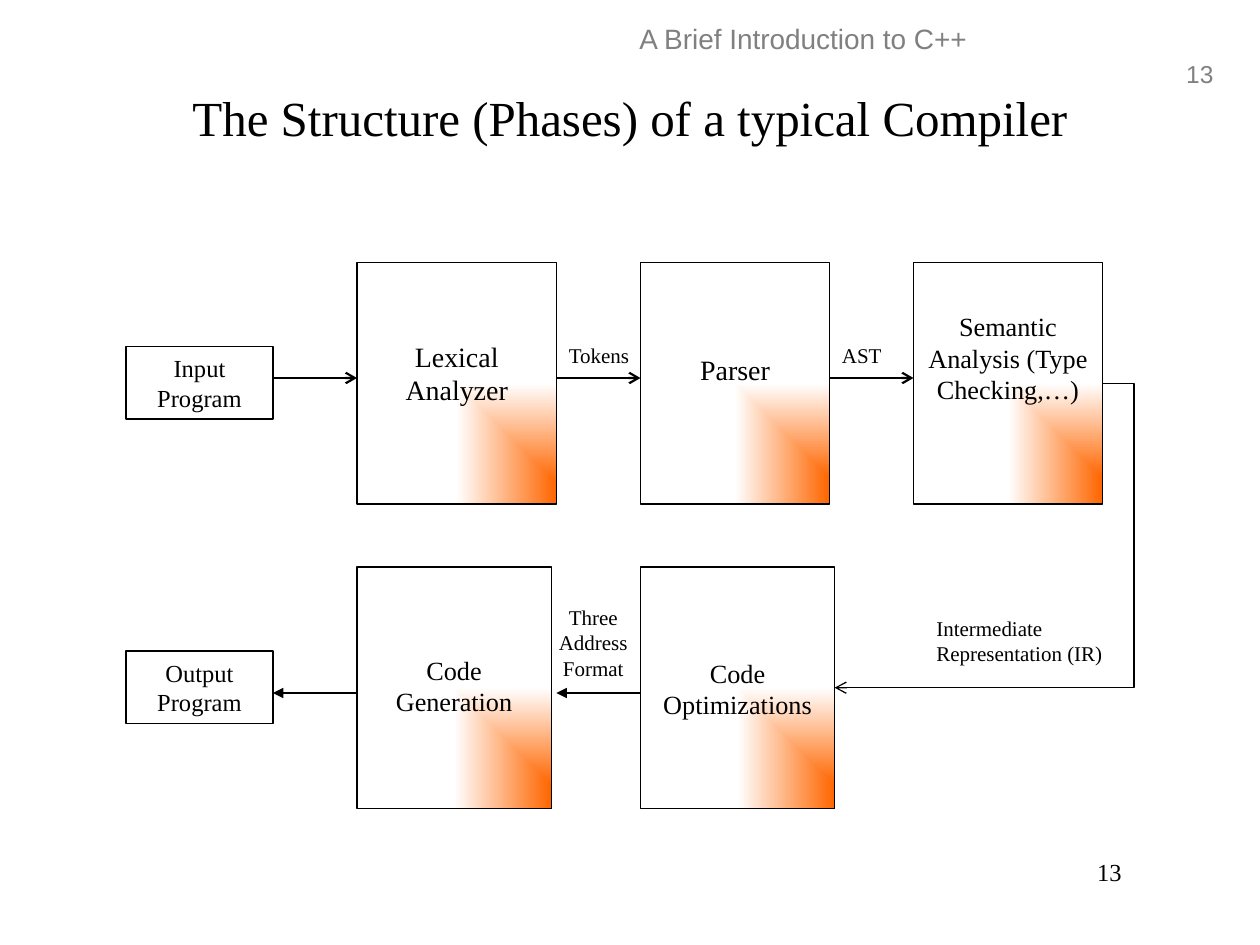
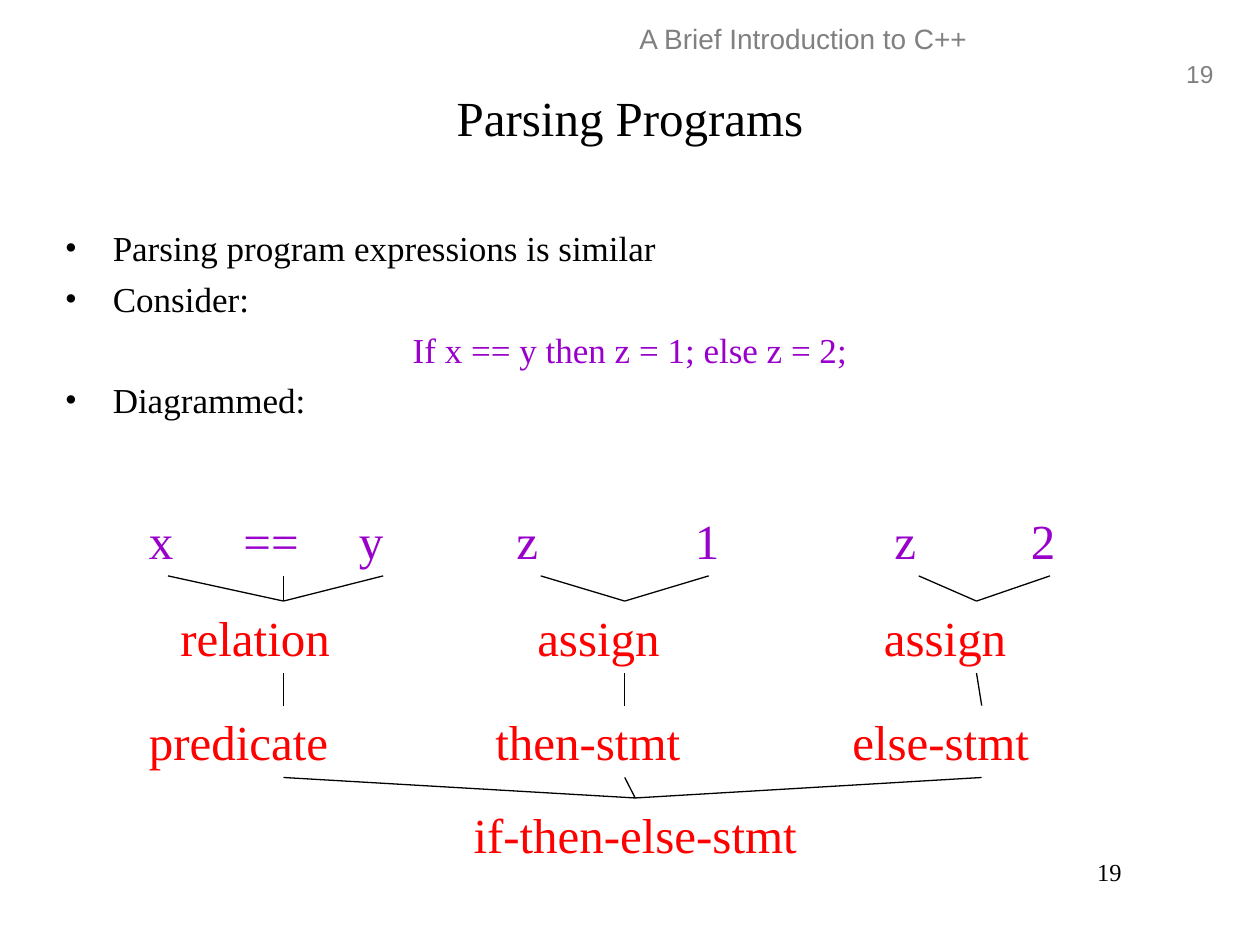
from dataclasses import dataclass

from lxml import etree
from pptx import Presentation
from pptx.dml.color import RGBColor
from pptx.enum.shapes import MSO_CONNECTOR, MSO_SHAPE
from pptx.enum.text import MSO_ANCHOR, PP_ALIGN
from pptx.oxml.ns import qn
from pptx.util import Inches, Pt

LEFT, CENTER, RIGHT = PP_ALIGN.LEFT, PP_ALIGN.CENTER, PP_ALIGN.RIGHT
MIDDLE = MSO_ANCHOR.MIDDLE
STRAIGHT, ELBOW = MSO_CONNECTOR.STRAIGHT, MSO_CONNECTOR.ELBOW
RECTANGLE = MSO_SHAPE.RECTANGLE
LEFT_SIDE, RIGHT_SIDE = 1, 3

COLORS = {"ink": "000000", "paper": "FFFFFF", "muted": "808080",
          "glow": "FF6600", "code": "9900CC", "grammar": "FF0000"}
SERIF, SANS = "Times New Roman", "Arial"
LAYOUT_TITLE_ONLY = 5

# The slide is a grid of 120 columns by 90 rows of square cells.
COLUMNS, ROWS = 120, 90
CELL = Inches(10) / COLUMNS


def rgb(name):
    return RGBColor.from_string(COLORS[name])


def cells(*counts):
    return [round(count * CELL) for count in counts]


def add_span(para, text, size, color="ink", font=SERIF):
    span = para.add_run()
    span.text = text
    span.font.size = Pt(size)
    span.font.name = font
    span.font.color.rgb = rgb(color)


def write(frame, lines, size, align=LEFT, color="ink", font=SERIF):
    for index, line in enumerate(lines):
        para = frame.paragraphs[0] if index == 0 else frame.add_paragraph()
        para.alignment = align
        add_span(para, line, size, color, font)


@dataclass
class Region:
    """Part of a page; places its parts in cells from its top left corner."""
    page: object
    left: float
    top: float

    def place(self, column, row, width, height):
        return cells(self.left + column, self.top + row, width, height)

    def text(self, box, lines, size, align=LEFT, color="ink", font=SERIF, wrap=True):
        frame = self.page.shapes.add_textbox(*self.place(*box)).text_frame
        frame.word_wrap = wrap
        write(frame, lines, size, align, color, font)

    def rectangle(self, box):
        shape = self.page.shapes.add_shape(RECTANGLE, *self.place(*box))
        shape.shadow.inherit = False
        shape.line.color.rgb = rgb("ink")
        shape.line.width = Pt(0.75)
        return shape

    def line(self, start, end, width=0.75, head=None, tail=None, kind=STRAIGHT):
        ends = [*self.place(*start, 0, 0)[:2], *self.place(*end, 0, 0)[:2]]
        connector = self.page.shapes.add_connector(kind, *ends)
        connector.line.color.rgb = rgb("ink")
        connector.line.width = Pt(width)
        properties = connector._element.spPr
        outline = properties.find(qn("a:ln"))
        for tag, style in (("a:headEnd", head), ("a:tailEnd", tail)):
            if style:
                etree.SubElement(outline, qn(tag), type=style)
        etree.SubElement(properties, qn("a:effectLst"))
        return connector


def fill_corner_glow(shape):
    """Fade from the glow colour in the bottom right corner to paper."""
    shape.fill.gradient()
    for stop, color, position in zip(shape.fill.gradient_stops, ("glow", "paper"), (0, 1)):
        stop.color.rgb = rgb(color)
        stop.position = position
    gradient = shape._element.spPr.find(qn("a:gradFill"))
    linear = gradient.find(qn("a:lin"))
    spread = etree.Element(qn("a:path"), path="rect")
    etree.SubElement(spread, qn("a:fillToRect"), l="100000", t="100000")
    gradient.replace(linear, spread)


def add_page(deck, title, number):
    page = deck.slides.add_slide(deck.slide_layouts[LAYOUT_TITLE_ONLY])
    whole = Region(page, 0, 0)
    whole.text((111.5, 5, 5.25, 4), [number], 14, RIGHT, "muted", SANS, wrap=False)
    whole.text((38.25, 1.5, 76.5, 4.8), ["A Brief Introduction to C++"], 16, CENTER,
               "muted", SANS)
    heading = page.shapes.title
    heading.left, heading.top, heading.width, heading.height = cells(6, 3.6, 108, 15)
    heading.text_frame.vertical_anchor = MIDDLE
    write(heading.text_frame, [title], 28, CENTER)
    whole.text((83, 81, 25, 6), [number], 14, RIGHT)
    return page


def add_phase(region, box, lines, size, label_row, label_height):
    column, row, width, _ = box
    shape = region.rectangle(box)
    fill_corner_glow(shape)
    region.text((column, row + label_row, width, label_height), lines, size, CENTER)
    return shape


def add_program(region, row, lines):
    shape = region.rectangle((0, row, 14, 6.9))
    shape.fill.background()
    frame = shape.text_frame
    frame.word_wrap = True
    frame.vertical_anchor = MIDDLE
    write(frame, lines, 14, CENTER)


def add_compiler_flow(region):
    upper, lower, height = 0, 29, 23
    first, second, third = 22, 49, 75
    add_phase(region, (first, lower, 18.5, height), ["Code", "Generation"], 15, 7.7, 7.3)
    optimizer = add_phase(region, (second, lower, 18.5, height),
                          ["Code Optimizations"], 15, 8, 7.3)
    checker = add_phase(region, (third, upper, 18, height),
                        ["Semantic Analysis (Type Checking,…)"], 15, 4, 10.3)
    add_phase(region, (first, upper, 19, height), ["Lexical Analyzer"], 16, 6.7, 7.3)
    add_phase(region, (second, upper, 18, height), ["Parser"], 16, 8, 4.4)
    add_program(region, upper + 8, ["Input Program"])
    add_program(region, lower + 8, ["Output", "Program"])

    for start, end in ((14, first), (41, second), (67, third)):
        region.line((start, 11), (end, 11), 1.25, tail="arrow")
    for start, end in ((14, first), (41, second)):
        region.line((start, 41), (end, 41), 1.25, head="triangle")

    detour = region.line((93, 11.5), (67.5, 40.5), tail="arrow", kind=ELBOW)
    detour.begin_connect(checker, RIGHT_SIDE)
    detour.end_connect(optimizer, RIGHT_SIDE)
    bends = detour._element.spPr.find(qn("a:prstGeom")).find(qn("a:avLst"))
    etree.SubElement(bends, qn("a:gd"), name="adj1", fmla="val -11800")

    region.text((41, 7, 8.3, 3.6), ["Tokens"], 12, wrap=False)
    region.text((67, 7, 6.4, 3.6), ["AST"], 12, wrap=False)
    region.text((76, 33, 19, 6), ["Intermediate Representation (IR)"], 12)
    region.text((40, 32, 9, 8.5), ["Three", "Address", "Format"], 12, CENTER)


def add_points(region, points):
    """Write (text, bulleted) pairs; a point without a bullet is centred code."""
    frame = region.page.shapes.add_textbox(*region.place(0, 0, 110, 29)).text_frame
    frame.word_wrap = True
    for index, (text, bulleted) in enumerate(points):
        para = frame.paragraphs[0] if index == 0 else frame.add_paragraph()
        para.alignment = LEFT if bulleted else CENTER
        if index:
            para.space_before = Pt(5)
        properties = para._p.get_or_add_pPr()
        properties.set("marL", str(Inches(0.38)))
        properties.set("indent", str(-Inches(0.38)))
        if bulleted:
            etree.SubElement(properties, qn("a:buFont"), typeface=SERIF)
            etree.SubElement(properties, qn("a:buChar"), char="•")
        else:
            etree.SubElement(properties, qn("a:buNone"))
        add_span(para, text, 20, "ink" if bulleted else "code")


def add_parse_tree(region):
    height = 6.85
    token_row, rule_row, part_row, root_row = 0, 9.25, 19.2, 28
    words = (
        (token_row, "code", (("x", 0, 6), ("==", 9, 10), ("y", 20, 7), ("z", 35, 7),
                             ("1", 52, 5), ("z", 71, 7), ("2", 84, 6))),
        (rule_row, "grammar", (("relation", 3, 22), ("assign", 37, 19), ("assign", 70, 20))),
        (part_row, "grammar", (("predicate", 0, 28), ("then-stmt", 33, 27),
                               ("else-stmt", 67, 27))),
    )
    for row, color, entries in words:
        for word, column, width in entries:
            region.text((column, row, width, height), [word], 28, color=color)
    region.text((25, root_row, 45, height), ["if-then-else-stmt"], 28, CENTER, "grammar")

    # Each join: the columns its branches start from and the column they meet in.
    joins = (
        (token_row, rule_row, (((3, 14, 23.5), 14), ((38.5, 54.5), 46.5),
                               ((74.5, 87), 80))),
        (rule_row, part_row, (((14,), 14), ((46.5,), 46.5), ((80,), 80.5))),
        (part_row, root_row, (((14, 46.5, 80.5), 47.5),)),
    )
    for upper, lower, groups in joins:
        for starts, meeting in groups:
            for start in starts:
                region.line((start, upper + height), (meeting, lower))


def main():
    deck = Presentation()
    deck.slide_width, deck.slide_height = cells(COLUMNS, ROWS)

    page = add_page(deck, "The Structure (Phases) of a typical Compiler", "13")
    add_compiler_flow(Region(page, 12, 25))

    page = add_page(deck, "Parsing Programs", "19")
    add_points(Region(page, 5, 21), (
        ("Parsing program expressions is similar", True),
        ("Consider:", True),
        ("If x == y then z = 1; else z = 2;", False),
        ("Diagrammed:", True),
    ))
    add_parse_tree(Region(page, 13, 48))
    deck.save("out.pptx")


if __name__ == "__main__":
    main()
